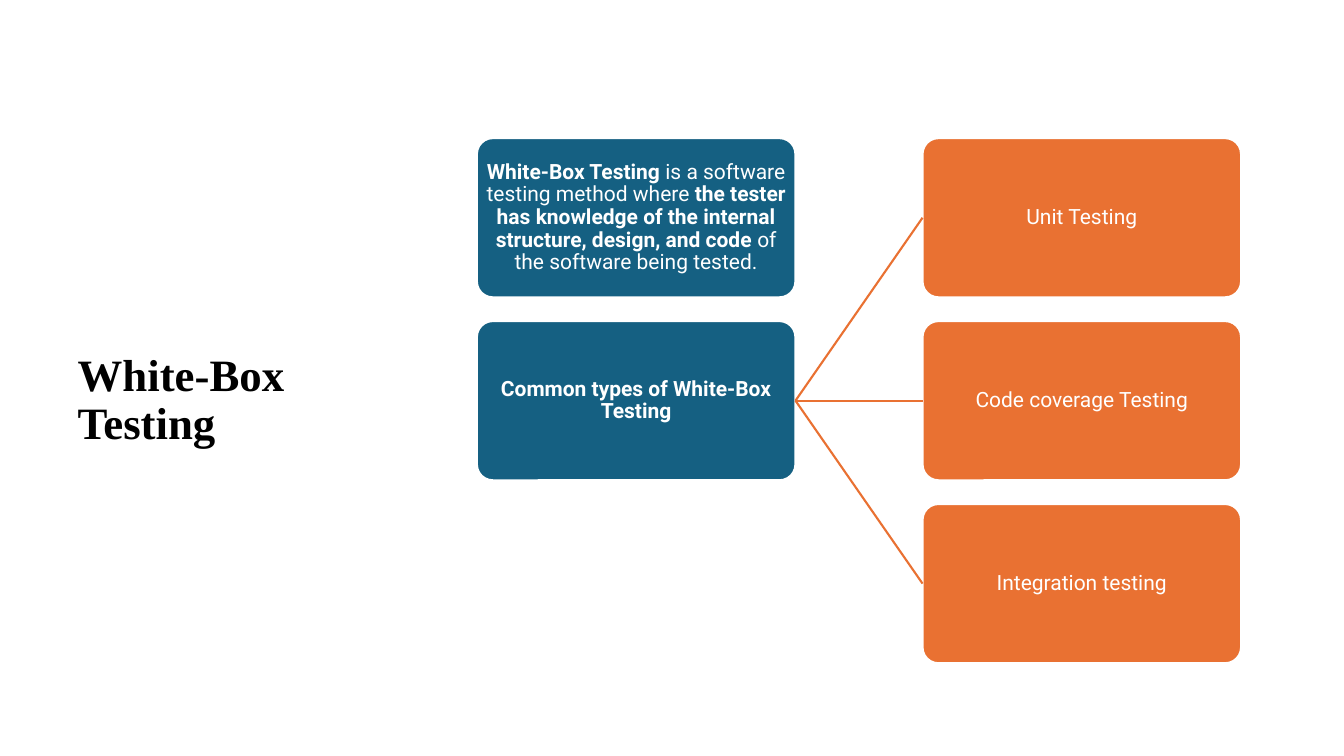
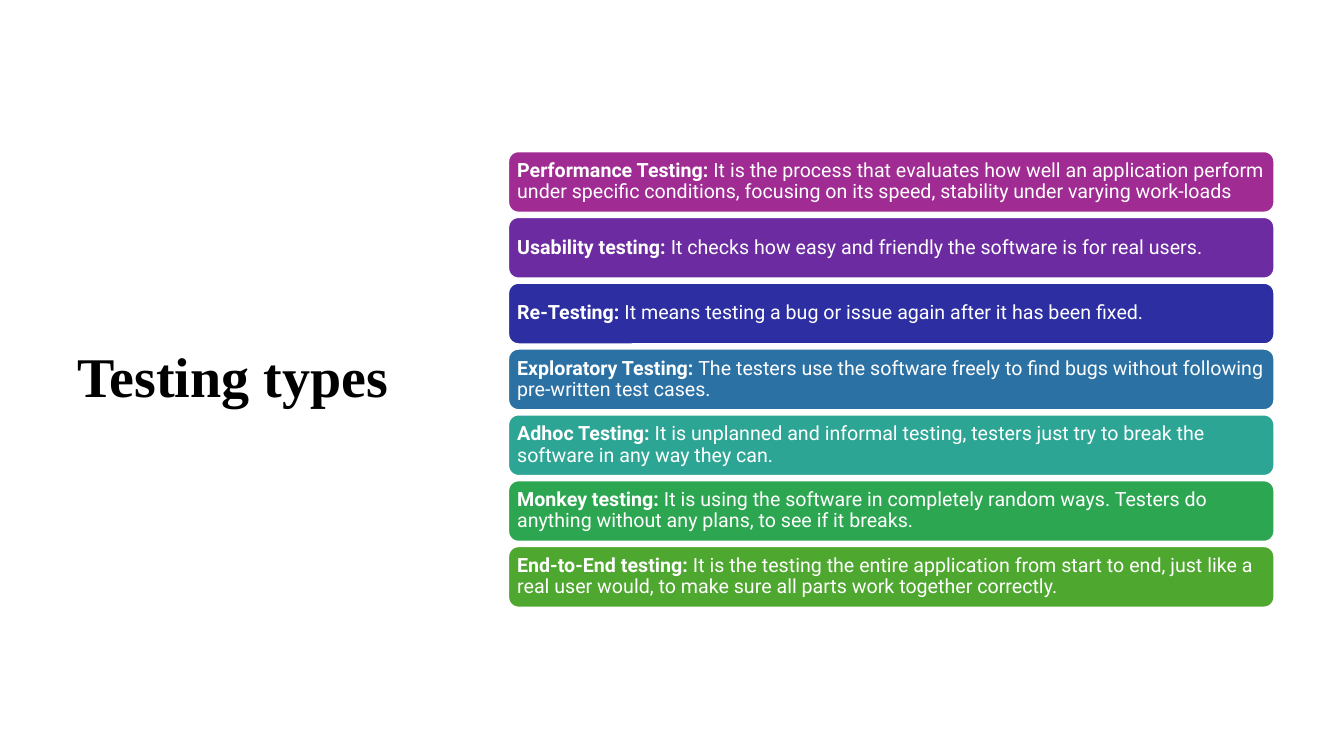
from pptx import Presentation
from pptx.dml.color import RGBColor
from pptx.enum.shapes import MSO_CONNECTOR, MSO_SHAPE
from pptx.enum.text import MSO_ANCHOR, MSO_AUTO_SIZE, PP_ALIGN
from pptx.oxml.ns import qn
from pptx.util import Inches, Pt
from lxml import etree

COLORS = {
    "black": "000000",
    "white": "FFFFFF",
    "blue": "156082",
    "orange": "E97132",
    "magenta": "A02B93",
    "purple": "6C2BA1",
    "indigo": "2C2EA2",
    "azure": "2C71A4",
    "teal": "2DA594",
    "emerald": "2DA651",
    "green": "4EA72E",
}
TITLE_FONT = "Times New Roman"
BODY_FONT = "Roboto"
LINE_SPACING = 0.9
LINE_WIDTH = Pt(1.5)

DEFINITION = [
    ("White-Box Testing ", True),
    ("is a software testing method where ", False),
    ("the tester has knowledge of the internal structure, design, and code ", True),
    ("of the software being tested.", False),
]
BRANCH_HEADING = [("Common types of White-Box Testing", True)]
BRANCHES = ["Unit Testing", "Code coverage Testing", "Integration testing"]

TESTING_TYPES = [
    ("magenta", "Performance Testing:",
     " It is the process that evaluates how well an application perform under specific "
     "conditions, focusing on its speed, stability under varying work-loads"),
    ("purple", "Usability testing:",
     " It checks how easy and friendly the software is for real users."),
    ("indigo", "Re-Testing:",
     " It means testing a bug or issue again after it has been fixed."),
    ("azure", "Exploratory Testing:",
     " The testers use the software freely to find bugs without following "
     "pre-written test cases."),
    ("teal", "Adhoc Testing:",
     " It is unplanned and informal testing, testers just try to break the software "
     "in any way they can."),
    ("emerald", "Monkey testing:",
     " It is using the software in completely random ways. Testers do anything "
     "without any plans, to see if it breaks."),
    ("green", "End-to-End testing:",
     " It is the testing the entire application from start to end, just like a real "
     "user would, to make sure all parts work together correctly."),
]

CARD_WIDTH, CARD_HEIGHT = 3.16, 1.58
CARD_TOP, CARD_PITCH = 1.37, 1.815
LEFT_COLUMN, RIGHT_COLUMN = 4.73, 9.15
BAR_LEFT, BAR_TOP, BAR_WIDTH, BAR_HEIGHT = 5.04, 1.5, 7.6, 0.61
BAR_PITCH = 0.653


def color(name):
    return RGBColor.from_string(COLORS[name])


def style_paragraph(para, font_name, size, font_color, align):
    para.alignment = align
    para.line_spacing = LINE_SPACING
    para.font.name = font_name
    para.font.size = Pt(size)
    para.font.color.rgb = color(font_color)


def add_titled_page(deck, text, bounds, size):
    page = deck.slides.add_slide(deck.slide_layouts[5])
    title = page.shapes.title
    title.left, title.top, title.width, title.height = map(Inches, bounds)
    frame = title.text_frame
    frame.text = text
    frame.word_wrap = True
    frame.auto_size = MSO_AUTO_SIZE.NONE
    frame.vertical_anchor = MSO_ANCHOR.MIDDLE
    para = frame.paragraphs[0]
    style_paragraph(para, TITLE_FONT, size, "black", PP_ALIGN.LEFT)
    para.font.bold = True
    return page


def add_box(page, bounds, fill, spans, size, align, inset):
    box = page.shapes.add_shape(MSO_SHAPE.ROUNDED_RECTANGLE, *map(Inches, bounds))
    box.shadow.inherit = False
    box.fill.solid()
    box.fill.fore_color.rgb = color(fill)
    box.line.color.rgb = color("white")
    box.line.width = LINE_WIDTH
    frame = box.text_frame
    frame.word_wrap = True
    frame.vertical_anchor = MSO_ANCHOR.MIDDLE
    frame.margin_left = frame.margin_right = Inches(inset)
    frame.margin_top = frame.margin_bottom = Inches(inset)
    para = frame.paragraphs[0]
    style_paragraph(para, BODY_FONT, size, "white", align)
    for text, bold in spans:
        span = para.add_run()
        span.text = text
        span.font.bold = bold
    return box


def add_card(page, left, row, fill, spans):
    bounds = (left, CARD_TOP + row * CARD_PITCH, CARD_WIDTH, CARD_HEIGHT)
    card = add_box(page, bounds, fill, spans, 15, PP_ALIGN.CENTER, 0.01)
    card.adjustments[0] = 0.1
    return card


def add_branch_line(page, start, end):
    line = page.shapes.add_connector(MSO_CONNECTOR.STRAIGHT, 0, 0, 0, 0)
    line.begin_connect(start, 3)
    line.end_connect(end, 1)
    line.line.color.rgb = color("orange")
    line.line.width = LINE_WIDTH
    etree.SubElement(line._element.spPr, qn("a:effectLst"))


def build_white_box_page(deck):
    page = add_titled_page(deck, "White-Box Testing", (0.67, 1.37, 3.18, 5.22), 32)
    add_card(page, LEFT_COLUMN, 0, "blue", DEFINITION)
    heading = add_card(page, LEFT_COLUMN, 1, "blue", BRANCH_HEADING)
    for row, name in enumerate(BRANCHES):
        branch = add_card(page, RIGHT_COLUMN, row, "orange", [(name, False)])
        add_branch_line(page, heading, branch)


def build_testing_types_page(deck):
    page = add_titled_page(deck, "Testing types", (0.67, 0.6, 3.82, 6.33), 40)
    for row, (fill, name, description) in enumerate(TESTING_TYPES):
        bounds = (BAR_LEFT, BAR_TOP + row * BAR_PITCH, BAR_WIDTH, BAR_HEIGHT)
        spans = [(name, True), (description, False)]
        add_box(page, bounds, fill, spans, 14, PP_ALIGN.LEFT, 0.06)


def main():
    deck = Presentation()
    deck.slide_width, deck.slide_height = Inches(13.33), Inches(7.5)
    build_white_box_page(deck)
    build_testing_types_page(deck)
    deck.save("out.pptx")


if __name__ == "__main__":
    main()
